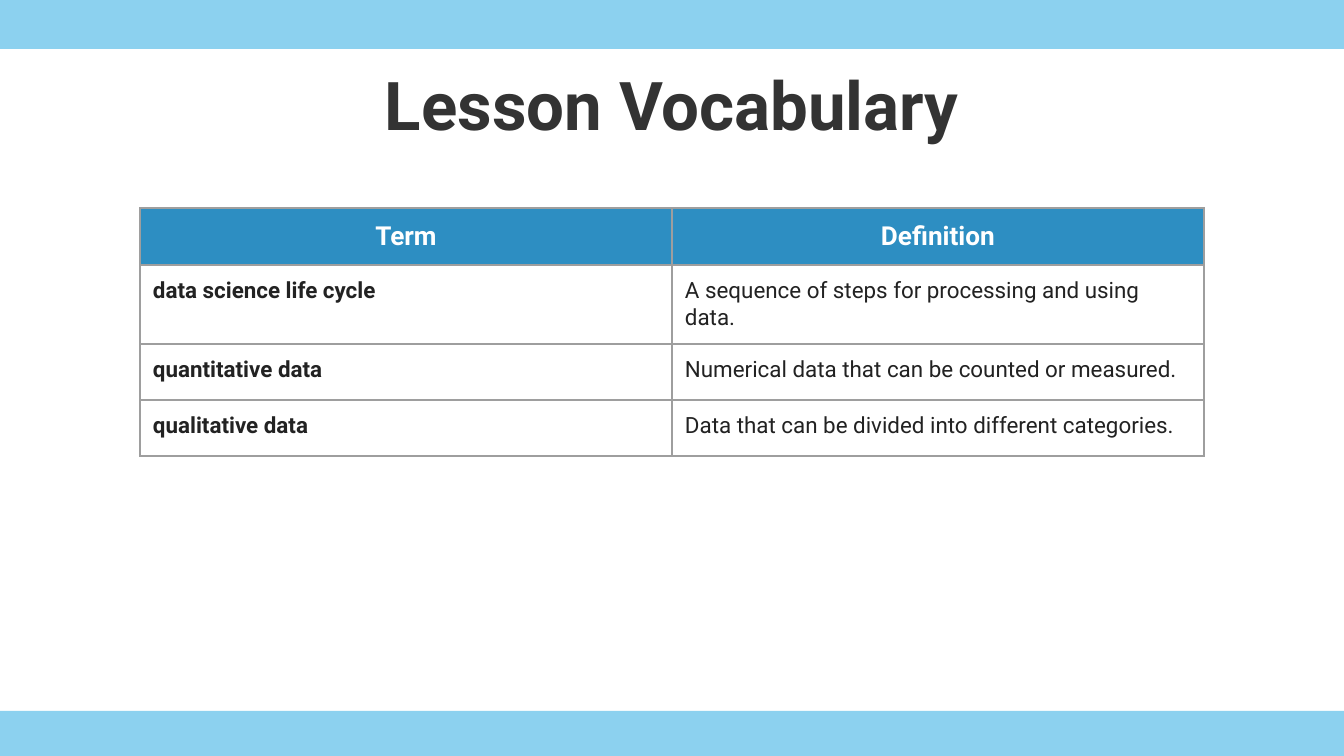
import dataclasses

import lxml.etree
import pptx
import pptx.dml.color
import pptx.enum.shapes
import pptx.enum.text
import pptx.oxml.ns
import pptx.util

EMU_PER_PX = 9144000 / 1344
SLIDE_WIDTH, SLIDE_HEIGHT = 1344, 756
INSET = 13
BAND_HEIGHT = 49
BAND_TOPS = (0, 711)
COLUMN_WIDTH = 532
ROW_HEIGHTS = (57, 79, 56, 56)

VOCABULARY = (
    ("Term", "Definition"),
    ("data science life cycle", "A sequence of steps for processing and using data."),
    ("quantitative data", "Numerical data that can be counted or measured."),
    ("qualitative data", "Data that can be divided into different categories."),
)


@dataclasses.dataclass(frozen=True)
class Theme:
    font: str = "Roboto"
    band: str = "27A9E1"
    band_opacity: int = 53
    title: str = "333333"
    header_fill: str = "2D8EC2"
    header_text: str = "FFFFFF"
    body_text: str = "222222"
    border: str = "9E9E9E"
    border_width: float = 0.75
    title_size: int = 36
    header_size: int = 14
    body_size: int = 12


THEME = Theme()


def px(length):
    return pptx.util.Emu(round(length * EMU_PER_PX))


def rgb(color):
    return pptx.dml.color.RGBColor.from_string(color)


def add_xml(parent, tag, **attributes):
    return lxml.etree.SubElement(parent, pptx.oxml.ns.qn(tag), attributes)


def write(text_frame, text, size, color, bold, centered):
    text_frame.text = text
    paragraph = text_frame.paragraphs[0]
    align = pptx.enum.text.PP_ALIGN
    paragraph.alignment = align.CENTER if centered else align.LEFT
    font = paragraph.runs[0].font
    font.name = THEME.font
    font.size = pptx.util.Pt(size)
    font.bold = bold
    font.color.rgb = rgb(color)


def set_margins(holder):
    """Give a cell or a text frame the same inset on every side."""
    holder.margin_left = holder.margin_right = px(INSET)
    holder.margin_top = holder.margin_bottom = px(INSET)


def set_title(slide, text):
    title = slide.shapes.title
    title.left, title.top, title.width, title.height = map(px, (67, 31, 1210, 126))
    frame = title.text_frame
    set_margins(frame)
    frame.vertical_anchor = pptx.enum.text.MSO_ANCHOR.BOTTOM
    write(frame, text, THEME.title_size, THEME.title, True, True)


def add_band(slide, top):
    """Add a translucent full-width band behind the title."""
    band = slide.shapes.add_shape(
        pptx.enum.shapes.MSO_SHAPE.RECTANGLE, 0, px(top), px(SLIDE_WIDTH), px(BAND_HEIGHT)
    )
    band.shadow.inherit = False
    band.line.fill.background()
    band.fill.solid()
    band.fill.fore_color.rgb = rgb(THEME.band)
    color = band.element.spPr.find(".//" + pptx.oxml.ns.qn("a:srgbClr"))
    add_xml(color, "a:alpha", val=str(THEME.band_opacity * 1000))
    slide.shapes.title.element.addprevious(band.element)


def add_borders(cell):
    properties = cell._tc.get_or_add_tcPr()
    width = str(pptx.util.Pt(THEME.border_width))
    for position, side in enumerate("LRTB"):
        line = add_xml(properties, f"a:ln{side}", w=width)
        add_xml(add_xml(line, "a:solidFill"), "a:srgbClr", val=THEME.border)
        properties.insert(position, line)


def format_cell(cell, text, is_header, is_term):
    set_margins(cell)
    if is_header:
        cell.fill.solid()
        cell.fill.fore_color.rgb = rgb(THEME.header_fill)
        write(cell.text_frame, text, THEME.header_size, THEME.header_text, True, True)
    else:
        cell.fill.background()
        write(cell.text_frame, text, THEME.body_size, THEME.body_text, is_term, False)
    add_borders(cell)


def add_vocabulary_table(slide, entries):
    column_count = len(entries[0])
    table = slide.shapes.add_table(
        len(entries), column_count, px(140), px(208),
        px(column_count * COLUMN_WIDTH), px(sum(ROW_HEIGHTS)),
    ).table
    table.first_row = table.horz_banding = False
    for column in table.columns:
        column.width = px(COLUMN_WIDTH)
    for row_index, entry in enumerate(entries):
        table.rows[row_index].height = px(ROW_HEIGHTS[row_index])
        for column_index, text in enumerate(entry):
            cell = table.cell(row_index, column_index)
            format_cell(cell, text, row_index == 0, column_index == 0)


def main():
    presentation = pptx.Presentation()
    presentation.slide_width = px(SLIDE_WIDTH)
    presentation.slide_height = px(SLIDE_HEIGHT)
    slide = presentation.slides.add_slide(presentation.slide_layouts[5])
    for top in BAND_TOPS:
        add_band(slide, top)
    set_title(slide, "Lesson Vocabulary")
    add_vocabulary_table(slide, VOCABULARY)
    presentation.save("out.pptx")


if __name__ == "__main__":
    main()
